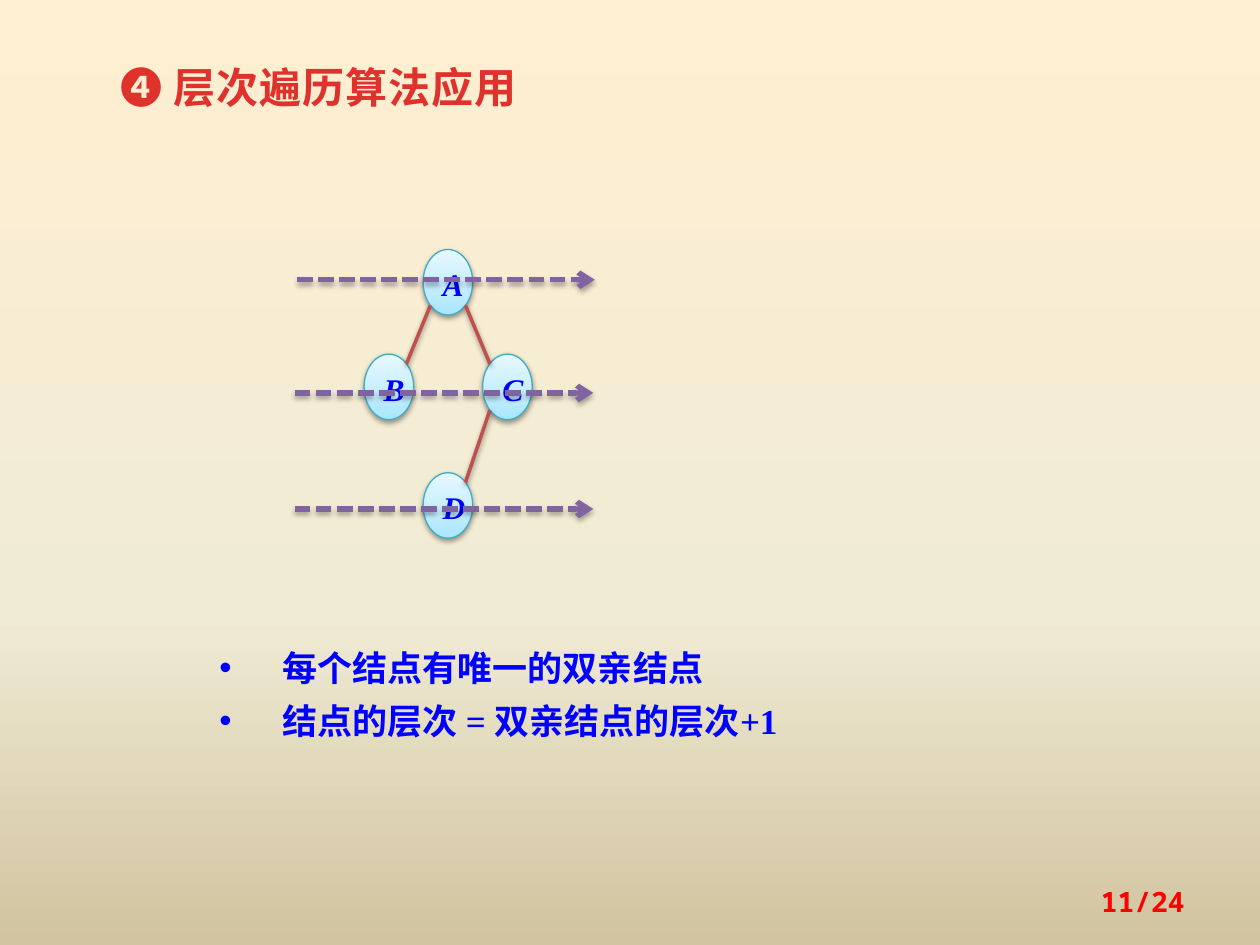
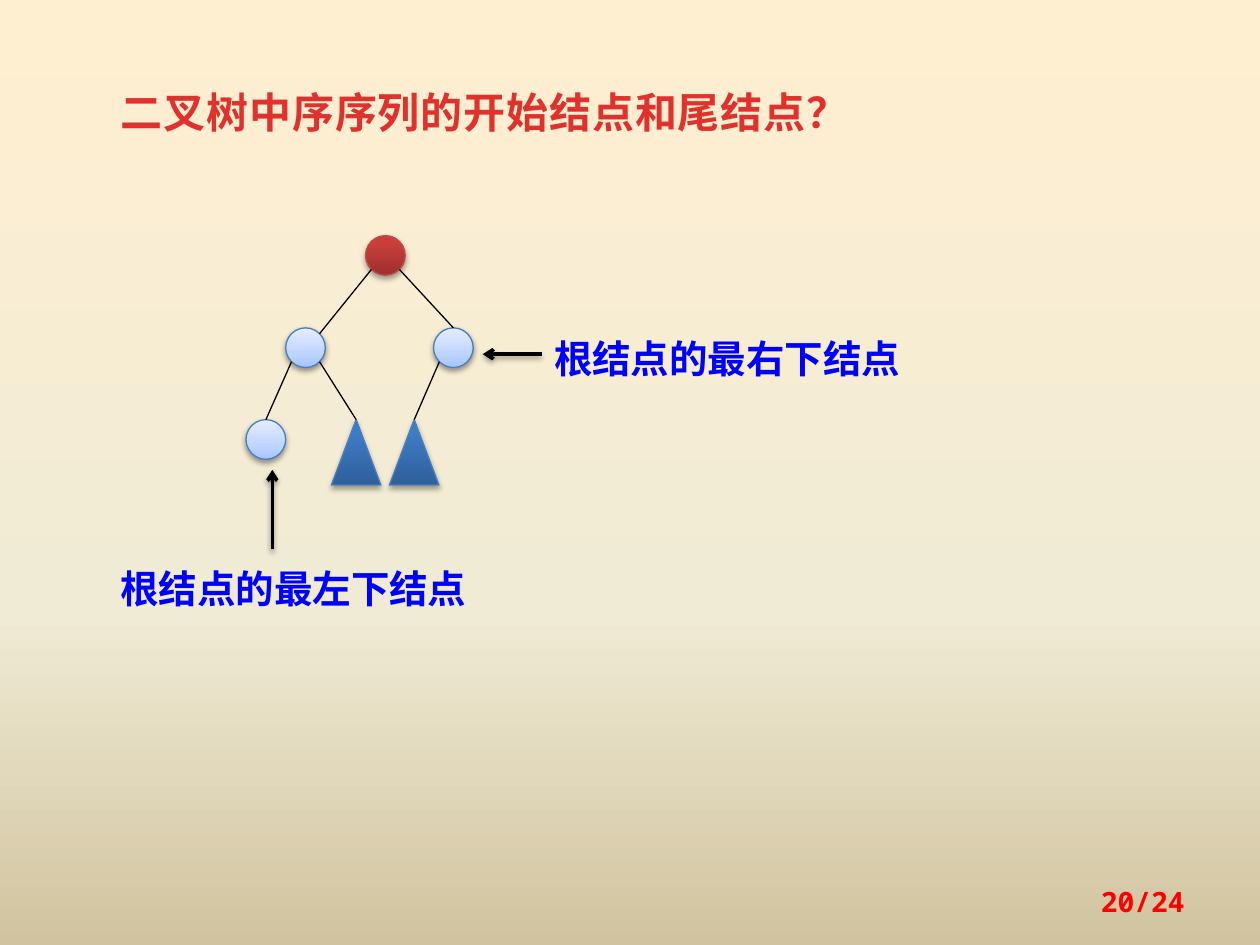
from lxml.etree import SubElement
from pptx import Presentation
from pptx.dml.color import RGBColor
from pptx.enum.dml import MSO_LINE
from pptx.enum.shapes import MSO_CONNECTOR, MSO_SHAPE
from pptx.enum.text import MSO_ANCHOR, MSO_AUTO_SIZE, PP_ALIGN
from pptx.oxml.ns import qn
from pptx.util import Cm, Pt

BLUE = RGBColor(0x00, 0x00, 0xFF)
RED = RGBColor(0xFF, 0x00, 0x00)
TITLE_RED = RGBColor(0xE0, 0x32, 0x2D)
BLACK = RGBColor(0x00, 0x00, 0x00)
EDGE_RED = RGBColor(0xC0, 0x50, 0x4D)
LEVEL_PURPLE = RGBColor(0x80, 0x64, 0xA2)
CYAN_LINE = RGBColor(0x46, 0xAA, 0xC5)
ROOT_LINE = RGBColor(0xBF, 0x4C, 0x48)
BLUE_LINE = RGBColor(0x4B, 0x7E, 0xBC)

# Gradient stops: (percent, colour)
BACKGROUND = [(0, RGBColor(0xFF, 0xEF, 0xD1)), (65, RGBColor(0xF0, 0xEB, 0xD5)),
              (100, RGBColor(0xD1, 0xC3, 0x9F))]
CYAN = [(0, RGBColor(0xA7, 0xE6, 0xFF)), (35, RGBColor(0xC1, 0xED, 0xFF)),
        (100, RGBColor(0xE7, 0xF8, 0xFF))]
ROOT_RED = [(0, RGBColor(0x9C, 0x2F, 0x2D)), (80, RGBColor(0xCB, 0x3E, 0x3A)),
            (100, RGBColor(0xCE, 0x3B, 0x37))]
LIGHT_BLUE = [(0, RGBColor(0xA4, 0xC4, 0xFF)), (35, RGBColor(0xBF, 0xD4, 0xFF)),
              (100, RGBColor(0xE6, 0xEE, 0xFF))]
DEEP_BLUE = [(0, RGBColor(0x2F, 0x5F, 0x99)), (80, RGBColor(0x3D, 0x7C, 0xC7)),
             (100, RGBColor(0x3A, 0x7C, 0xCB))]

# Shadows: (opacity percent, blur pt, distance pt)
SOFT_SHADOW = (38, 3.1, 1.6)
STRONG_SHADOW = (35, 3.1, 1.8)

CJK_FONT = "Noto Sans CJK SC"
SERIF_FONT = "Times New Roman"
MONO_FONT = "Noto Sans Mono"

PAGE_COUNT = 24
PAGE_NUMBER_BOX = (18.21, 17.65, 5.92, 1.02)

# Node kinds: (preset, width cm, height cm, gradient, line colour, shadow)
KINDS = {
    "letter": (MSO_SHAPE.OVAL, 1.0, 1.32, CYAN, CYAN_LINE, SOFT_SHADOW),
    "root": (MSO_SHAPE.OVAL, 0.8, 0.8, ROOT_RED, ROOT_LINE, STRONG_SHADOW),
    "circle": (MSO_SHAPE.OVAL, 0.8, 0.8, LIGHT_BLUE, BLUE_LINE, SOFT_SHADOW),
    "subtree": (MSO_SHAPE.ISOSCELES_TRIANGLE, 1.0, 1.32, DEEP_BLUE, BLUE_LINE, STRONG_SHADOW),
}

# Nodes: name -> (kind, left, top); edges: (parent, side, child, side)
LEVEL_TREE = {
    "nodes": {"B": ("letter", 7.34, 7.14), "A": ("letter", 8.53, 5.03),
              "C": ("letter", 9.73, 7.14), "D": ("letter", 8.53, 9.53)},
    "edges": [("A", "bottom left", "B", "top right"),
              ("A", "bottom right", "C", "top left"),
              ("C", "bottom left", "D", "top right")],
}
INORDER_TREE = {
    "nodes": {"root": ("root", 7.37, 4.75), "left": ("circle", 5.76, 6.61),
              "first": ("circle", 4.96, 8.46), "last": ("circle", 8.74, 6.61),
              "left subtree": ("subtree", 6.68, 8.46),
              "last subtree": ("subtree", 7.85, 8.46)},
    "edges": [("root", "bottom left", "left", "top right"),
              ("root", "bottom right", "last", "top"),
              ("left", "bottom left", "first", "top"),
              ("left", "bottom right", "left subtree", "top"),
              ("last", "bottom left", "last subtree", "top")],
}
LEVEL_ARROWS = [((5.99, 5.64), (11.99, 5.64)),
                ((5.94, 7.92), (11.96, 7.92)),
                ((5.94, 10.26), (11.96, 10.26))]
LEVEL_FACTS = ["每个结点有唯一的双亲结点", "结点的层次 = 双亲结点的层次+1"]
LEVEL_FACTS_BOX = (4.17, 12.7, 12.9, 2.39)

# Callouts: (text, box, arrow start, arrow end)
CALLOUTS = [
    ("根结点的最左下结点", (2.18, 11.13, 7.95, 1.24), (5.49, 11.07), (5.49, 9.47)),
    ("根结点的最右下结点", (10.92, 6.5, 7.95, 1.24), (10.92, 7.14), (9.73, 7.14)),
]


def set_gradient(fill, element, stops, angle):
    """Fill with stops; angle runs counter-clockwise from the left-to-right direction."""
    fill.gradient()
    fill.gradient_angle = angle
    stop_list = element.find(".//" + qn("a:gsLst"))
    for stop in list(stop_list):
        stop_list.remove(stop)
    for percent, color in stops:
        stop = SubElement(stop_list, qn("a:gs"), pos=str(percent * 1000))
        SubElement(stop, qn("a:srgbClr"), val=str(color))


def set_shadow(shape, shadow):
    """Replace the theme's shadow by the given one, or by none."""
    effects = SubElement(shape._element.spPr, qn("a:effectLst"))
    if shadow:
        opacity, blur, distance = shadow
        outer = SubElement(effects, qn("a:outerShdw"), blurRad=str(Pt(blur)),
                           dist=str(Pt(distance)), dir="5400000", rotWithShape="0")
        color = SubElement(outer, qn("a:srgbClr"), val="000000")
        SubElement(color, qn("a:alpha"), val=str(opacity * 1000))


def place(shape, box):
    shape.left, shape.top, shape.width, shape.height = map(Cm, box)


def format_text(text_frame, size, font_name, color, line_spacing=None,
                alignment=PP_ALIGN.LEFT, italic=False, character_spacing=None):
    for paragraph in text_frame.paragraphs:
        paragraph.alignment = alignment
        paragraph.space_before = Pt(0)
        if line_spacing:
            paragraph.line_spacing = line_spacing
        for run in paragraph.runs:
            run.font.size = Pt(size)
            run.font.name = font_name
            run.font.bold = True
            run.font.italic = italic
            run.font.color.rgb = color
            properties = run.font._element
            SubElement(properties, qn("a:ea"), typeface=CJK_FONT)
            if character_spacing:
                properties.set("spc", str(round(character_spacing * 100)))


def fit_to_text(text_frame):
    text_frame.word_wrap = True
    text_frame.vertical_anchor = MSO_ANCHOR.TOP
    text_frame.auto_size = MSO_AUTO_SIZE.SHAPE_TO_FIT_TEXT


def add_text_box(slide, text, box):
    text_box = slide.shapes.add_textbox(*map(Cm, box))
    text_box.text_frame.word_wrap = True
    text_box.text_frame.text = text
    return text_box


def add_titled_slide(presentation, layout_index, title, title_box, page):
    slide = presentation.slides.add_slide(presentation.slide_layouts[layout_index])
    place(slide.shapes.title, title_box)
    text_frame = slide.shapes.title.text_frame
    text_frame.text = title
    fit_to_text(text_frame)
    format_text(text_frame, 24, CJK_FONT, TITLE_RED, Pt(30), character_spacing=0.5)

    page_number = add_text_box(slide, f"{page}/{PAGE_COUNT}", PAGE_NUMBER_BOX)
    page_number.text_frame.vertical_anchor = MSO_ANCHOR.MIDDLE
    format_text(page_number.text_frame, 16, MONO_FONT, RED, alignment=PP_ALIGN.RIGHT)
    return slide


def add_line(slide, start, end, color, width, shadow=None, arrow=False, dashed=False):
    line = slide.shapes.add_connector(MSO_CONNECTOR.STRAIGHT, *start, *end)
    line.line.color.rgb = color
    line.line.width = Pt(width)
    if dashed:
        line.line.dash_style = MSO_LINE.SQUARE_DOT
    if arrow:
        SubElement(line.line._get_or_add_ln(), qn("a:tailEnd"), type="arrow")
    set_shadow(line, shadow)
    return line


def add_node(slide, kind, left, top):
    preset, width, height, stops, line_color, shadow = KINDS[kind]
    node = slide.shapes.add_shape(preset, *map(Cm, (left, top, width, height)))
    set_gradient(node.fill, node._element.spPr, stops, 90)
    node.line.color.rgb = line_color
    node.line.width = Pt(0.75)
    set_shadow(node, shadow)
    return node


def point_on(node, side):
    """The top of a node, or the point of an oval halfway between two sides."""
    diagonal = 0.5 ** 0.5
    across = diagonal * (("right" in side) - ("left" in side))
    down = diagonal if "bottom" in side else -diagonal
    if side == "top":
        down = -1
    return (round(node.left + node.width * (1 + across) / 2),
            round(node.top + node.height * (1 + down) / 2))


def add_tree(slide, tree, edge_color, edge_width, edge_shadow=None):
    nodes = {name: add_node(slide, *values) for name, values in tree["nodes"].items()}
    for parent, parent_side, child, child_side in tree["edges"]:
        edge = add_line(slide, point_on(nodes[parent], parent_side),
                        point_on(nodes[child], child_side),
                        edge_color, edge_width, edge_shadow)
        if child_side == "top":
            edge.end_connect(nodes[child], 0)
    return nodes


def build_level_slide(presentation):
    slide = add_titled_slide(presentation, 1, "❹ 层次遍历算法应用",
                             (2.18, 1.07, 9.32, 1.27), 11)
    for letter, node in add_tree(slide, LEVEL_TREE, EDGE_RED, 2, SOFT_SHADOW).items():
        node.text_frame.text = letter
        node.text_frame.vertical_anchor = MSO_ANCHOR.MIDDLE
        format_text(node.text_frame, 18, SERIF_FONT, BLUE, 1.1, PP_ALIGN.CENTER, italic=True)
    for start, end in LEVEL_ARROWS:
        add_line(slide, map(Cm, start), map(Cm, end), LEVEL_PURPLE, 3,
                 STRONG_SHADOW, arrow=True, dashed=True)

    facts = slide.placeholders[1]
    place(facts, LEVEL_FACTS_BOX)
    facts.text_frame.text = "\n".join(LEVEL_FACTS)
    fit_to_text(facts.text_frame)
    for paragraph in facts.text_frame.paragraphs:
        properties = paragraph._p.get_or_add_pPr()
        properties.set("marL", str(Cm(1.27)))
        properties.set("indent", str(-Cm(1.27)))
    format_text(facts.text_frame, 20, SERIF_FONT, BLUE, Pt(30))


def build_inorder_slide(presentation):
    slide = add_titled_slide(presentation, 5, "二叉树中序序列的开始结点和尾结点？",
                             (2.18, 1.57, 15.88, 1.32), 20)
    add_tree(slide, INORDER_TREE, BLACK, 0.75)
    for text, box, start, end in CALLOUTS:
        label = add_text_box(slide, text, box)
        fit_to_text(label.text_frame)
        format_text(label.text_frame, 22, SERIF_FONT, BLUE, Pt(30))
        add_line(slide, map(Cm, start), map(Cm, end), BLACK, 2, SOFT_SHADOW, arrow=True)


def main():
    presentation = Presentation()
    presentation.slide_width = Cm(25.4)
    presentation.slide_height = Cm(19.05)
    master = presentation.slide_master
    set_gradient(master.background.fill, master._element, BACKGROUND, 270)
    build_level_slide(presentation)
    build_inorder_slide(presentation)
    presentation.save("out.pptx")


if __name__ == "__main__":
    main()
